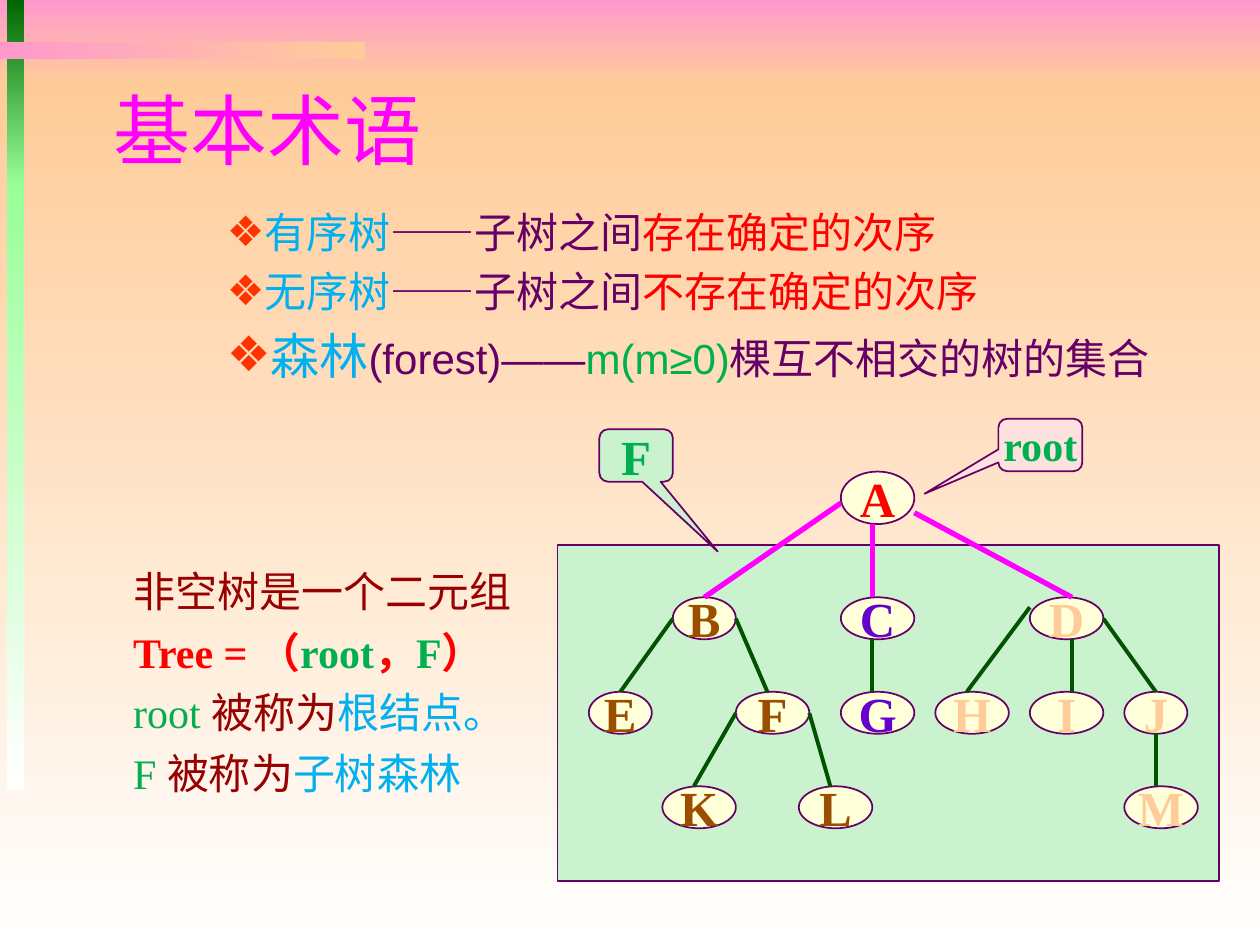
from typing import NamedTuple

from lxml.etree import SubElement
from pptx import Presentation
from pptx.dml.color import RGBColor
from pptx.enum.shapes import MSO_CONNECTOR, MSO_SHAPE
from pptx.enum.text import MSO_ANCHOR, MSO_AUTO_SIZE, PP_ALIGN
from pptx.oxml.ns import qn
from pptx.util import Pt

SERIF, SANS = "Times New Roman", "Arial"
PURPLE, MAGENTA, RED, GREEN, BLUE = "660066", "FF00FF", "FF0000", "00B050", "00B0F0"
MAROON, BROWN, VIOLET, PEACH = "990000", "9C4E00", "6600CC", "FFCC99"
CREAM, MINT, PINK, DARK_GREEN = "FFFFD9", "CAF2CE", "FBE2DF", "005400"


class Band(NamedTuple):
    x: float
    y: float
    w: float
    h: float
    start: str
    end: str
    angle: int = 270


class Span(NamedTuple):
    text: str
    color: str
    font: str = SERIF
    size: float = 24
    bold: bool = False


class Node(NamedTuple):
    label: str
    x: float
    row: int
    color: str
    w: float = 42


class Edge(NamedTuple):
    x1: float
    y1: float
    x2: float
    row: int


def rgb(value: str) -> RGBColor:
    return RGBColor.from_string(value)


def row_top(row: int) -> float:
    """Top of a row of the tree below the root."""
    return 341.3 + 54 * (row - 1)


def add_spans(p, spans: list[Span]) -> None:
    for span in spans:
        if span.text == "\v":
            p.add_line_break()
            continue
        r = p.add_run()
        r.text = span.text
        r.font.name, r.font.size, r.font.bold = span.font, Pt(span.size), span.bold
        r.font.color.rgb = rgb(span.color)


def add_band(s, band: Band) -> None:
    sp = s.shapes.add_shape(MSO_SHAPE.RECTANGLE, *map(Pt, band[:4]))
    sp.shadow.inherit = False
    sp.line.fill.background()
    sp.fill.gradient()
    sp.fill.gradient_angle = band.angle
    for stop, color in zip(sp.fill.gradient_stops, (band.start, band.end)):
        stop.color.rgb = rgb(color)


def add_box(s, kind, x: float, y: float, w: float, h: float, fill: str, label: Span | None = None):
    sp = s.shapes.add_shape(kind, Pt(x), Pt(y), Pt(w), Pt(h))
    sp.shadow.inherit = False
    sp.fill.solid()
    sp.fill.fore_color.rgb = rgb(fill)
    sp.line.color.rgb = rgb(PURPLE)
    sp.line.width = Pt(1)
    if label:
        tf = sp.text_frame
        tf.word_wrap = False
        tf.vertical_anchor = MSO_ANCHOR.MIDDLE
        tf.paragraphs[0].alignment = PP_ALIGN.CENTER
        add_spans(tf.paragraphs[0], [label])
    return sp


def add_edge(s, edge: Edge, color: str, width: float) -> None:
    ends = (edge.x1, edge.y1, edge.x2, row_top(edge.row))
    line = s.shapes.add_connector(MSO_CONNECTOR.STRAIGHT, *map(Pt, ends))
    line.line.color.rgb = rgb(color)
    line.line.width = Pt(width)
    SubElement(line.element.spPr, qn("a:effectLst"))


def set_bullet(p, char: str, color: str) -> None:
    pPr = p._p.get_or_add_pPr()
    SubElement(SubElement(pPr, qn("a:buClr")), qn("a:srgbClr"), val=color)
    SubElement(pPr, qn("a:buChar"), char=char)


def place(sp, x: float, y: float, w: float, h: float) -> None:
    sp.left, sp.top, sp.width, sp.height = map(Pt, (x, y, w, h))
    sp.element.getparent().append(sp.element)  # above the background


BANDS = [
    Band(0, 0, 720, 48, "FF99CC", PEACH),
    Band(0, 48, 720, 492, PEACH, "FFFFFF"),
    Band(4, 0, 10, 106, "006600", "99FF99"),
    Band(4, 105, 10, 346.5, "99FF99", "FFFFFF"),
    Band(0, 24, 208.5, 10, "FF99CC", PEACH, 0),
]
BULLETS = [
    [Span("有序树", BLUE, SANS), Span("——", PURPLE, SANS),
     Span("子树之间", PURPLE), Span("存在确定的次序", RED)],
    [Span("无序树", BLUE, SANS), Span("——", PURPLE, SANS),
     Span("子树之间", PURPLE), Span("不存在确定的次序", RED)],
    [Span("森林", BLUE, SANS, 28), Span("(forest)——", PURPLE, SANS),
     Span("m(m≥0)", GREEN, SANS), Span("棵互不相交的树的集合", PURPLE, SANS)],
]
DEFINITION = [
    [Span("非空树是一个二元组 ", MAROON), Span("Tree = （", RED, bold=True),
     Span("root", GREEN, bold=True), Span("，", RED, bold=True),
     Span("F", GREEN, bold=True), Span("）", RED, bold=True)],
    [Span("root ", GREEN), Span("被称为", MAROON), Span("根结点。", BLUE), Span("\v", BLUE),
     Span("F ", GREEN), Span("被称为", MAROON), Span("子树森林", BLUE)],
]
NODES = [
    Node("B", 384.5, 1, BROWN, 36), Node("C", 480.5, 1, VIOLET), Node("D", 588.5, 1, PEACH),
    Node("E", 336.5, 2, BROWN, 36), Node("F", 420.5, 2, BROWN), Node("G", 480.5, 2, VIOLET),
    Node("H", 534.5, 2, PEACH), Node("I", 588.5, 2, PEACH), Node("J", 642.5, 2, PEACH, 36),
    Node("M", 642.5, 3, PEACH), Node("K", 378.5, 3, BROWN), Node("L", 456.5, 3, BROWN),
]
EDGES = [
    Edge(384.5, 353.5, 354.5, 2), Edge(420.5, 353.5, 438.5, 2),
    Edge(420.5, 407.5, 396.5, 3), Edge(462.5, 407.5, 474.5, 3),
    Edge(498.5, 365, 498.5, 2), Edge(588.5, 347, 552.5, 2),
    Edge(612.5, 365, 612.5, 2), Edge(630.5, 353.5, 660.5, 2),
    Edge(660.5, 419, 660.5, 3),
]
ROOT_EDGES = [Edge(480.5, 287.5, 402.5, 1), Edge(498.5, 299.5, 498.5, 1),
              Edge(522.5, 293, 612.5, 1)]


def main() -> None:
    prs = Presentation()
    prs.slide_width, prs.slide_height = Pt(720), Pt(540)
    s = prs.slides.add_slide(prs.slide_layouts[1])

    # Background bands
    for band in BANDS:
        add_band(s, band)

    # Title
    title = s.shapes.title
    place(title, 57.6, 41, 612, 65)
    title.text_frame.vertical_anchor = MSO_ANCHOR.MIDDLE
    p = title.text_frame.paragraphs[0]
    p.alignment = PP_ALIGN.LEFT
    add_spans(p, [Span("基本术语", MAGENTA, "Roboto Condensed", 44)])

    # Bulleted terms
    body = s.placeholders[1]
    place(body, 50.4, 114.5, 669.6, 129.6)
    tf = body.text_frame
    tf.auto_size = MSO_AUTO_SIZE.NONE
    for i, spans in enumerate(BULLETS):
        p = tf.add_paragraph() if i else tf.paragraphs[0]
        p.level = 2
        set_bullet(p, "❖", "FF3300")
        add_spans(p, spans)

    # Definition of a non-empty tree
    tf = s.shapes.add_textbox(Pt(69), Pt(314), Pt(243.4), Pt(144)).text_frame
    tf.word_wrap = True
    for i, spans in enumerate(DEFINITION):
        p = tf.add_paragraph() if i else tf.paragraphs[0]
        p.line_spacing = 1.2
        add_spans(p, spans)

    # Root, forest and tree nodes
    add_box(s, MSO_SHAPE.OVAL, 480.5, 269.5, 42, 30, CREAM, Span("A", RED, size=28, bold=True))
    add_box(s, MSO_SHAPE.RECTANGLE, 318.5, 311.3, 378, 192, MINT)
    for node in NODES:
        add_box(s, MSO_SHAPE.OVAL, node.x, row_top(node.row), node.w, 24, CREAM,
                Span(node.label, node.color, size=28, bold=True))
    for edge in EDGES:
        add_edge(s, edge, DARK_GREEN, 2.25)

    # Callouts
    callout = MSO_SHAPE.ROUNDED_RECTANGULAR_CALLOUT
    root = add_box(s, callout, 570.5, 239.3, 48, 30, PINK, Span("root", GREEN, bold=True))
    forest = add_box(s, callout, 342.5, 245.3, 42, 30, MINT, Span("F", GREEN, size=28, bold=True))
    for sp, tip in ((root, (-1.38, 0.93)), (forest, (1.11, 1.83))):
        sp.adjustments[0], sp.adjustments[1] = tip

    # Links from the root to its subtrees
    for edge in ROOT_EDGES:
        add_edge(s, edge, MAGENTA, 3)

    prs.save("out.pptx")


if __name__ == "__main__":
    main()
